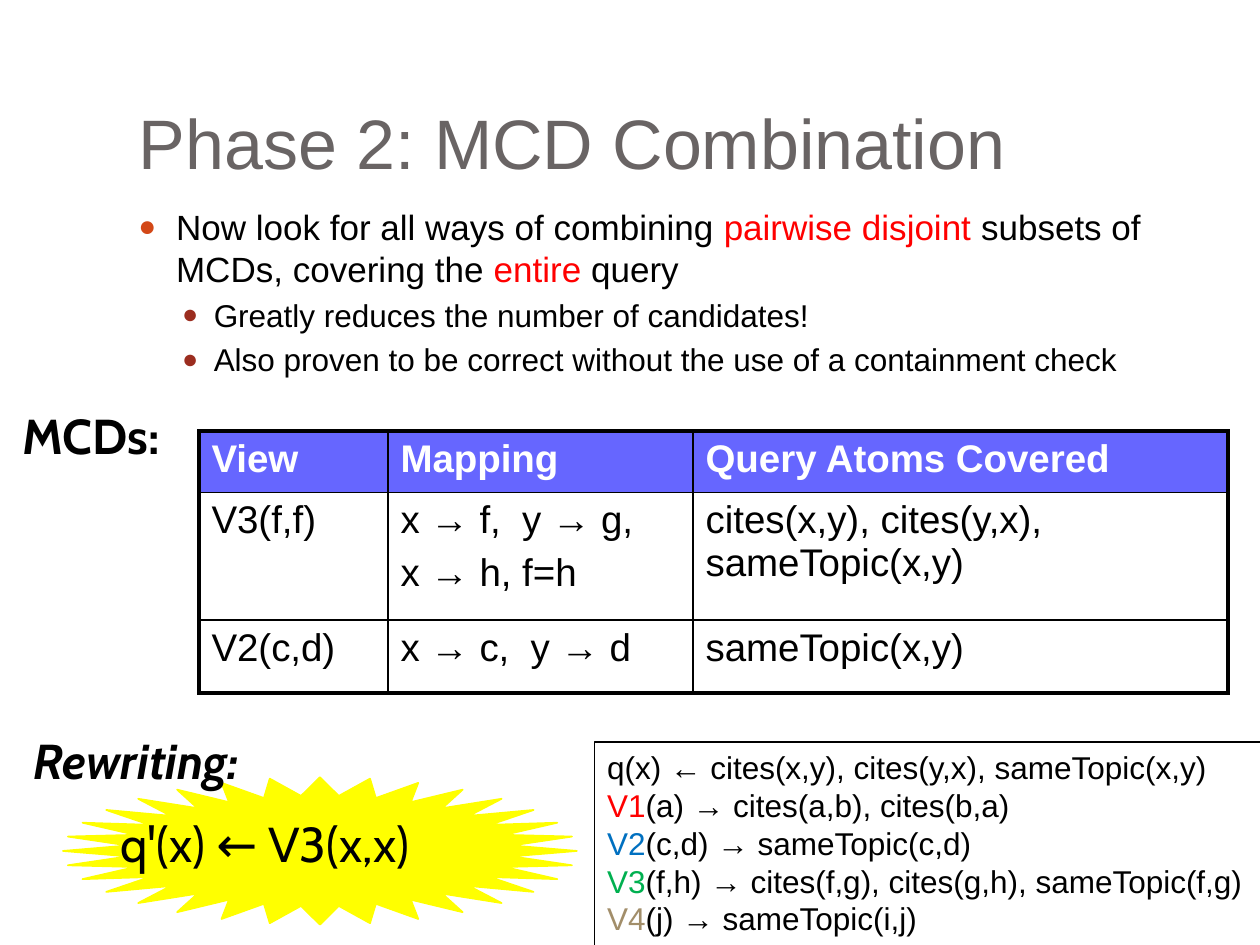
from dataclasses import dataclass

import pptx
import pptx.dml.color
import pptx.enum.shapes
import pptx.enum.text
import pptx.oxml
import pptx.oxml.ns
import pptx.util
from lxml import etree

Cm = pptx.util.Cm
Pt = pptx.util.Pt
SHAPE = pptx.enum.shapes.MSO_SHAPE
BLACK, RED, YELLOW, HEADER = "000000", "FF0000", "FFFF00", "6666FF"


@dataclass
class Run:
    text: str
    color: str = BLACK
    bold: bool = False
    italic: bool = False


@dataclass
class Para:
    runs: list[Run]
    size: float
    font: str = "Arial"
    before: float = 0
    margin: float = 0
    indent: float = 0
    bullet: str = ""
    level: int = 0


@dataclass
class Box:
    left: float
    top: float
    width: float
    height: float

    def lengths(self) -> list[int]:
        return [Cm(v) for v in (self.left, self.top, self.width, self.height)]


def rgb(color: str) -> pptx.dml.color.RGBColor:
    return pptx.dml.color.RGBColor.from_string(color)


def add_sub(parent, tag: str, **attrs: str):
    el = etree.SubElement(parent, pptx.oxml.ns.qn(tag))
    for name, value in attrs.items():
        el.set(name, value)
    return el


def write(tf, paras: list[Para]) -> None:
    for i, para in enumerate(paras):
        p = tf.paragraphs[0] if i == 0 else tf.add_paragraph()
        p.alignment = pptx.enum.text.PP_ALIGN.LEFT
        p.level = para.level
        p.space_before = Pt(para.before)
        pPr = p._p.get_or_add_pPr()
        pPr.set("marL", str(Cm(para.margin)))
        pPr.set("indent", str(Cm(para.indent)))
        if para.bullet:
            add_sub(add_sub(pPr, "a:buClr"), "a:srgbClr", val=para.bullet)
            add_sub(pPr, "a:buSzPct", val="85000")
            add_sub(pPr, "a:buFont", typeface="Arial")
            add_sub(pPr, "a:buChar", char="●")
        for run in para.runs:
            for j, line in enumerate(run.text.split("\n")):
                if j:
                    p.add_line_break()
                r = p.add_run()
                r.text = line
                r.font.name = para.font
                r.font.size = Pt(para.size)
                r.font.bold = run.bold
                r.font.italic = run.italic
                r.font.color.rgb = rgb(run.color)


def add_text(slide, box: Box, paras: list[Para]):
    sp = slide.shapes.add_textbox(*box.lengths())
    sp.text_frame.word_wrap = True
    write(sp.text_frame, paras)
    return sp


def add_star(slide, box: Box) -> None:
    sp = slide.shapes.add_shape(SHAPE.STAR_32_POINT, *box.lengths())
    sp.shadow.inherit = False
    sp.fill.solid()
    sp.fill.fore_color.rgb = rgb(YELLOW)
    sp.line.color.rgb = rgb(YELLOW)
    sp.line.width = Pt(1)


def set_title(slide, box: Box, para: Para) -> None:
    sp = slide.shapes.title
    sp.left, sp.top, sp.width, sp.height = box.lengths()
    tf = sp.text_frame
    tf.word_wrap = True
    tf.auto_size = pptx.enum.text.MSO_AUTO_SIZE.NONE
    tf.vertical_anchor = pptx.enum.text.MSO_ANCHOR.BOTTOM
    tf.margin_bottom = Cm(0.25)
    write(tf, [para])


def set_borders(cell, widths: dict[str, float]) -> None:
    tcPr = cell._tc.get_or_add_tcPr()
    for i, (side, width) in enumerate(widths.items()):
        ln = pptx.oxml.parse_xml(
            f'<a:ln{side} {pptx.oxml.ns.nsdecls("a")} w="{Pt(width)}">'
            f'<a:solidFill><a:srgbClr val="{BLACK}"/></a:solidFill></a:ln{side}>')
        tcPr.insert(i, ln)


def add_mcd_table(slide, box: Box, cols: list[float], heights: list[float],
                  rows: list[list[list[str]]]) -> None:
    """Draw the grid with a coloured header row and a thick outer frame."""
    table = slide.shapes.add_table(len(rows), len(cols), *box.lengths()).table
    for col, width in zip(table.columns, cols):
        col.width = Cm(width)
    for row, height in zip(table.rows, heights):
        row.height = Cm(height)
    thick, thin = 2.25, 1
    for i, row in enumerate(rows):
        for j, lines in enumerate(row):
            cell = table.cell(i, j)
            head = i == 0
            if head:
                cell.fill.solid()
                cell.fill.fore_color.rgb = rgb(HEADER)
            else:
                cell.fill.background()
            color = "FFFFFF" if head else BLACK
            write(cell.text_frame, [Para([Run(line, color, bold=head)], 22, before=5.8)
                                    for line in lines])
            set_borders(cell, {
                "L": thick if j == 0 else thin,
                "R": thick if j == len(cols) - 1 else thin,
                "T": thick if head else thin,
                "B": thick if i == len(rows) - 1 else thin})


def sub_point(text: str) -> Para:
    return Para([Run(text)], 18, before=3.8, margin=1.52, indent=-0.64,
                bullet="9B2D1F", level=1)


def main() -> None:
    prs = pptx.Presentation()
    prs.slide_width, prs.slide_height = Cm(25.4), Cm(19.05)
    slide = prs.slides.add_slide(prs.slide_layouts[5])

    add_star(slide, Box(1.27, 15.67, 10.36, 2.97))
    set_title(slide, Box(2.54, 0.76, 21.59, 3.18),
              Para([Run("Phase 2: MCD Combination", "696464")], 40))
    add_text(slide, Box(2.54, 4.01, 21.59, 4), [
        Para([Run("Now look for all ways of combining "),
              Run("pairwise disjoint ", RED),
              Run("subsets of MCDs, covering the "),
              Run("entire", RED),
              Run(" query")],
             20, before=5.8, margin=0.76, indent=-0.76, bullet="D34817"),
        sub_point("Greatly reduces the number of candidates!"),
        sub_point("Also proven to be correct without the use of a containment check")])

    add_text(slide, Box(0.43, 14.6, 9.88, 3.25), [
        Para([Run("Rewriting:", bold=True, italic=True)], 28, "Cabin", before=14),
        Para([Run("q'(x) ← V3(x,x)")], 28, "Cabin", before=14, margin=1.75)])

    views = [("V1", RED, "(a) → cites(a,b), cites(b,a)"),
             ("V2", "0070C0", "(c,d) → sameTopic(c,d)"),
             ("V3", "00B050", "(f,h) → cites(f,g), cites(g,h), sameTopic(f,g)"),
             ("V4", "A28E6A", "(j) → sameTopic(i,j)")]
    query = Para([Run("q(x) ← cites(x,y), cites(y,x), sameTopic(x,y)")], 18)
    sp = add_text(slide, Box(11.99, 14.96, 13.49, 4.11), [query] + [
        Para([Run(name, color), Run(rule)], 18) for name, color, rule in views])
    sp.line.color.rgb = rgb(BLACK)
    sp.line.width = Pt(0.75)

    add_text(slide, Box(0.2, 8.05, 4.01, 1.45),
             [Para([Run("MCDs:", bold=True)], 28, "Cabin", before=14)])
    add_mcd_table(slide, Box(4.01, 8.69, 20.75, 5.28),
                  [3.81, 6.15, 10.79], [1.24, 2.57, 1.47], [
        [["View"], ["Mapping"], ["Query Atoms Covered"]],
        [["V3(f,f)"], ["x → f,  y → g,", "x → h, f=h"],
         ["cites(x,y), cites(y,x),\nsameTopic(x,y)"]],
        [["V2(c,d)"], ["x → c,  y → d"], ["sameTopic(x,y)"]]])

    prs.save("out.pptx")


if __name__ == "__main__":
    main()
